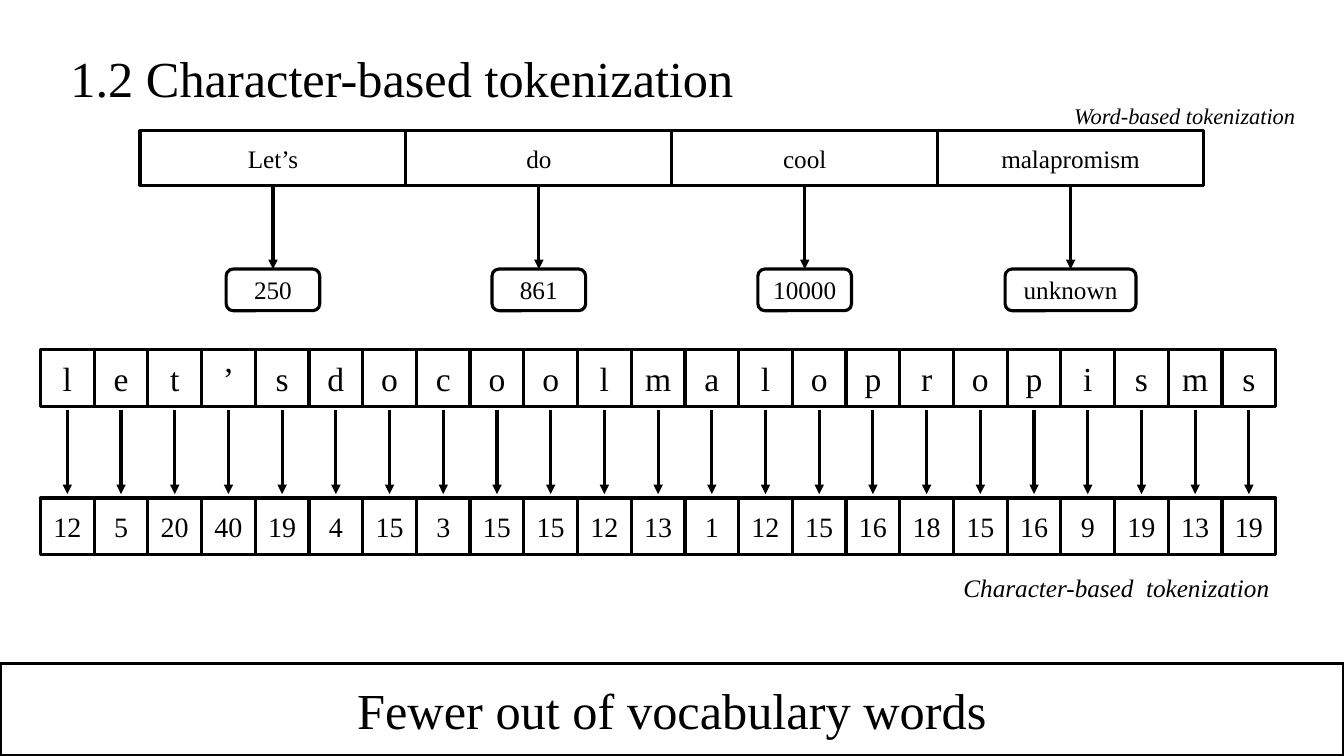
from lxml.etree import SubElement
from pptx import Presentation
from pptx.dml.color import RGBColor
from pptx.enum.shapes import MSO_CONNECTOR, MSO_SHAPE
from pptx.enum.text import MSO_ANCHOR, MSO_AUTO_SIZE, PP_ALIGN
from pptx.oxml.ns import qn
from pptx.util import Cm, Pt

BLACK = RGBColor(0, 0, 0)
FONT = "Times New Roman"
LINE_WIDTH = Pt(2.25)
SLIDE_WIDTH, SLIDE_HEIGHT = 33.87, 19.05

WORDS = ["Let’s", "do", "cool", "malapromism"]
WORD_IDS = ["250", "861", "10000", "unknown"]
LETTERS = "let’sdocoolmalopropisms"
LETTER_IDS = [12, 5, 20, 40, 19, 4, 15, 3, 15, 15, 12, 13,
              1, 12, 15, 16, 18, 15, 16, 9, 19, 13, 19]


def write(tf, text, size, align=PP_ALIGN.LEFT, italic=False):
    tf.text = text
    tf.word_wrap = True
    p = tf.paragraphs[0]
    p.alignment = align
    font = p.runs[0].font
    font.name, font.size, font.italic = FONT, Pt(size), italic
    font.color.rgb = BLACK


def add_title(s, text):
    title = s.shapes.title
    title.left, title.top = Cm(1.52), Cm(1.07)
    title.width, title.height = Cm(21.2), Cm(1.8)
    write(title.text_frame, text, 36)
    title.text_frame.vertical_anchor = MSO_ANCHOR.TOP
    title.text_frame.auto_size = MSO_AUTO_SIZE.NONE


def add_caption(s, left, top, width, height, text, size):
    box = s.shapes.add_textbox(Cm(left), Cm(top), Cm(width), Cm(height))
    write(box.text_frame, text, size, italic=True)


def add_box(s, left, top, width, height, text, size, shape=MSO_SHAPE.RECTANGLE):
    """Add an outlined, unfilled box with centred text."""
    sp = s.shapes.add_shape(shape, Cm(left), Cm(top), Cm(width), Cm(height))
    sp.shadow.inherit = False
    sp.fill.background()
    sp.line.color.rgb = BLACK
    sp.line.width = LINE_WIDTH
    write(sp.text_frame, text, size, PP_ALIGN.CENTER)
    sp.text_frame.vertical_anchor = MSO_ANCHOR.MIDDLE


def add_row(s, left, top, width, height, texts, size):
    """Add adjoining equal boxes and return their horizontal centres."""
    step = width / len(texts)
    for i, text in enumerate(texts):
        add_box(s, left + i * step, top, step, height, str(text), size)
    return [left + (i + 0.5) * step for i in range(len(texts))]


def add_down_arrow(s, x, top, bottom):
    arrow = s.shapes.add_connector(
        MSO_CONNECTOR.STRAIGHT, Cm(x), Cm(top), Cm(x), Cm(bottom))
    arrow.line.color.rgb = BLACK
    arrow.line.width = LINE_WIDTH
    SubElement(arrow.line._get_or_add_ln(), qn("a:tailEnd"), type="triangle")
    SubElement(arrow._element.spPr, qn("a:effectLst"))


def add_word_diagram(s):
    centres = add_row(s, 3.53, 3.3, 26.8, 1.37, WORDS, 18)
    for x, word_id in zip(centres, WORD_IDS):
        width = 2.36 if word_id.isdigit() else 3.3
        add_down_arrow(s, x, 4.67, 6.78)
        add_box(s, x - width / 2, 6.78, width, 1.05, word_id, 18,
                MSO_SHAPE.ROUNDED_RECTANGLE)
    add_caption(s, 26.82, 2.44, 6.25, 0.94, "Word-based tokenization", 16)


def add_character_diagram(s):
    left, width, height = 1.02, 31.13, 1.43
    centres = add_row(s, left, 8.81, width, height, LETTERS, 24)
    add_row(s, left, 12.55, width, height, LETTER_IDS, 20)
    for x in centres:
        add_down_arrow(s, x, 10.34, 12.45)
    add_caption(s, 24.03, 14.3, 8.66, 1.02, "Character-based  tokenization", 18)


def main():
    prs = Presentation()
    prs.slide_width, prs.slide_height = Cm(SLIDE_WIDTH), Cm(SLIDE_HEIGHT)
    s = prs.slides.add_slide(prs.slide_layouts[5])
    add_title(s, "1.2 Character-based tokenization")
    add_word_diagram(s)
    add_character_diagram(s)
    add_box(s, 0, 16.71, SLIDE_WIDTH, SLIDE_HEIGHT - 16.71,
            "Fewer out of vocabulary words", 36)
    prs.save("out.pptx")


if __name__ == "__main__":
    main()
